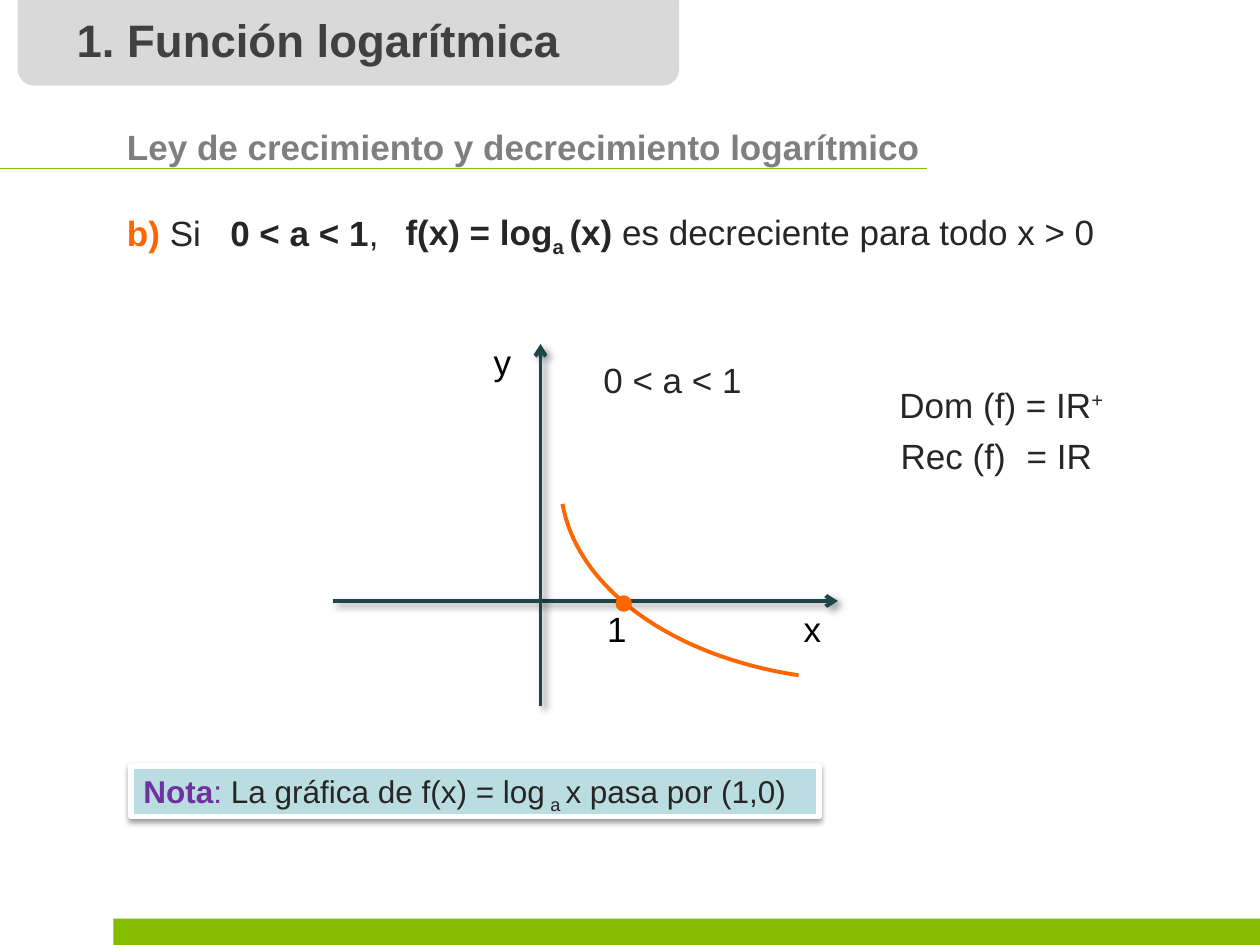
from lxml.etree import SubElement
from pptx import Presentation
from pptx.dml.color import RGBColor
from pptx.enum.shapes import MSO_CONNECTOR as Connector, MSO_SHAPE as Shape
from pptx.enum.text import MSO_ANCHOR as Anchor, MSO_AUTO_SIZE as AutoSize, PP_ALIGN as Align
from pptx.oxml.ns import qn
from pptx.util import Inches, Pt

THEME = {
    "font": "Arial", "title": 26, "body": 20, "note": 18,
    "green": "84BD00", "orange": "FF6600", "ink": "262626", "black": "000000",
    "heading": "404040", "subheading": "7F7F7F", "tab": "D9D9D9",
    "axis": "1E4649", "purple": "7030A0", "panel": "BADDE1", "white": "FFFFFF",
}
BOLD = {"bold": True}
SUB = {"baseline": -25}

STATEMENTS = [
    ((0.91, 1.56, 2.36, 0.47),
     [("b) ", {"bold": True, "color": "orange"}), ("Si\t", {}), ("0 < a < 1", BOLD), (",", {})],
     {"spacing": 1.2, "tab": 0.82}),
    ((3.12, 1.55, 5.72, 0.47),
     [("f(x) = log", BOLD), ("a ", {**BOLD, **SUB}), ("(x) ", BOLD),
      ("es decreciente para todo x > 0", {})],
     {"spacing": 1.2}),
    ((7.04, 3.03, 1.89, 0.4), [("Dom (f) = IR", {}), ("+", {"baseline": 30})], {"spacing": 0.9}),
    ((7.05, 3.44, 1.72, 0.4), [("Rec (f)\t= IR", {})], {"spacing": 0.9, "tab": 1}),
]
HEADINGS = [
    ((0.91, 0.95, 6.54, 0.44), "Ley de crecimiento y decrecimiento logarítmico",
     {"color": "subheading"}),
    ((0.51, 0.05, 5.51, 0.54), "1. Función logarítmica", {"color": "heading", "size": "title"}),
]
AXES = [((2.64, 4.77), (6.65, 4.77)), ((4.29, 5.6), (4.29, 2.73))]
GRAPH_LABELS = [
    ((4.69, 2.8, 1.41, 0.44), "0 < a < 1", {"color": "ink"}),
    ((6.28, 4.77, 0.79, 0.44), "x", {"color": "black"}),
    ((3.82, 2.65, 0.79, 0.44), "y", {"color": "black"}),
    ((4.72, 4.77, 0.36, 0.44), "1", {"color": "black", "wrap": False}),
]
CURVE_BOX, CURVE_DEGREES = (4.45, 2.25, 4.88, 3.15), (109.8, 175.9)
NOTE = [("Nota", {"bold": True, "color": "purple"}), (": ", {"color": "purple"}),
        ("La gráfica de f(x) = log", {}), (" a ", SUB), ("x pasa por (1,0)", {})]


def rgb(name):
    return RGBColor.from_string(THEME[name])


def write(holder, content, size="body", color="ink", bold=False, spacing=None, tab=None, wrap=True):
    frame = holder.text_frame
    frame.word_wrap = wrap
    frame.auto_size = AutoSize.SHAPE_TO_FIT_TEXT
    frame.vertical_anchor = Anchor.TOP
    paragraph = frame.paragraphs[0]
    if tab:
        stops = SubElement(paragraph._p.get_or_add_pPr(), qn("a:tabLst"))
        SubElement(stops, qn("a:tab"), pos=str(Inches(tab)), algn="l")
    paragraph.alignment = Align.LEFT
    if spacing:
        paragraph.line_spacing = spacing
    for words, style in [(content, {})] if isinstance(content, str) else content:
        run = paragraph.add_run()
        run.text = words
        run.font.name = THEME["font"]
        run.font.size = Pt(THEME[size])
        run.font.bold = style.get("bold", bold)
        run.font.color.rgb = rgb(style.get("color", color))
        if "baseline" in style:
            run.font._element.set("baseline", str(style["baseline"] * 1000))


def label(parent, box, content, **style):
    write(parent.add_textbox(*map(Inches, box)), content, **style)


def block(parent, kind, box, fill=None, line=None, width=0.75):
    shape = parent.add_shape(kind, *map(Inches, box))
    shape.shadow.inherit = False
    if fill:
        shape.fill.solid()
        shape.fill.fore_color.rgb = rgb(fill)
    else:
        shape.fill.background()
    if line:
        shape.line.color.rgb = rgb(line)
        shape.line.width = Pt(width)
    else:
        shape.line.fill.background()
    return shape


def rule(parent, start, end, color, width):
    line = parent.add_connector(Connector.STRAIGHT, *map(Inches, start + end))
    line.line.color.rgb = rgb(color)
    line.line.width = Pt(width)
    SubElement(line._element.spPr, qn("a:effectLst"))
    return line


def cast_shadow(shape, alpha, blur, distance, angle):
    effects = shape._element.spPr.find(qn("a:effectLst"))
    shadow = SubElement(effects, qn("a:outerShdw"), blurRad=str(Pt(blur)), dist=str(Pt(distance)),
                        dir=str(angle * 60000), algn="tl", rotWithShape="0")
    tint = SubElement(shadow, qn("a:srgbClr"), val=THEME["black"])
    SubElement(tint, qn("a:alpha"), val=str(alpha * 1000))


def draw_graph(parent):
    curve = block(parent, Shape.ARC, CURVE_BOX, line="orange", width=2.25)
    for index, degrees in enumerate(CURVE_DEGREES):
        curve.adjustments[index] = degrees * 0.6
    for start, end in AXES:
        axis = rule(parent, start, end, "axis", 2.25)
        SubElement(axis.line._get_or_add_ln(), qn("a:tailEnd"), type="arrow")
        cast_shadow(axis, 40, 4, 3, 45)
    for box, content, style in GRAPH_LABELS:
        label(parent, box, content, **style)
    block(parent, Shape.OVAL, (4.89, 4.73, 0.12, 0.12), "orange", "orange")


def main():
    """Build the slide on decreasing logarithmic functions."""
    deck = Presentation()
    deck.slide_width, deck.slide_height = Inches(10), Inches(7.5)
    shapes = deck.slides.add_slide(deck.slide_layouts[6]).shapes

    block(shapes, Shape.RECTANGLE, (0.9, 7.29, 9.1, 0.21), "green")
    for box, content, style in STATEMENTS:
        label(shapes, box, content, wrap=False, **style)
    block(shapes, Shape.ROUNDED_RECTANGLE, (0.14, -0.11, 5.25, 0.79), "tab")
    for box, content, style in HEADINGS:
        label(shapes, box, content, bold=True, **style)
    rule(shapes, (-0.04, 1.34), (7.36, 1.34), "green", 0.75)

    draw_graph(shapes.add_group_shape().shapes)

    note = block(shapes, Shape.RECTANGLE, (1.04, 6.08, 5.46, 0.4), "panel", "white", 3)
    cast_shadow(note, 38, 3.1, 1.6, 90)
    write(note, NOTE, size="note")
    deck.save("out.pptx")


if __name__ == "__main__":
    main()
